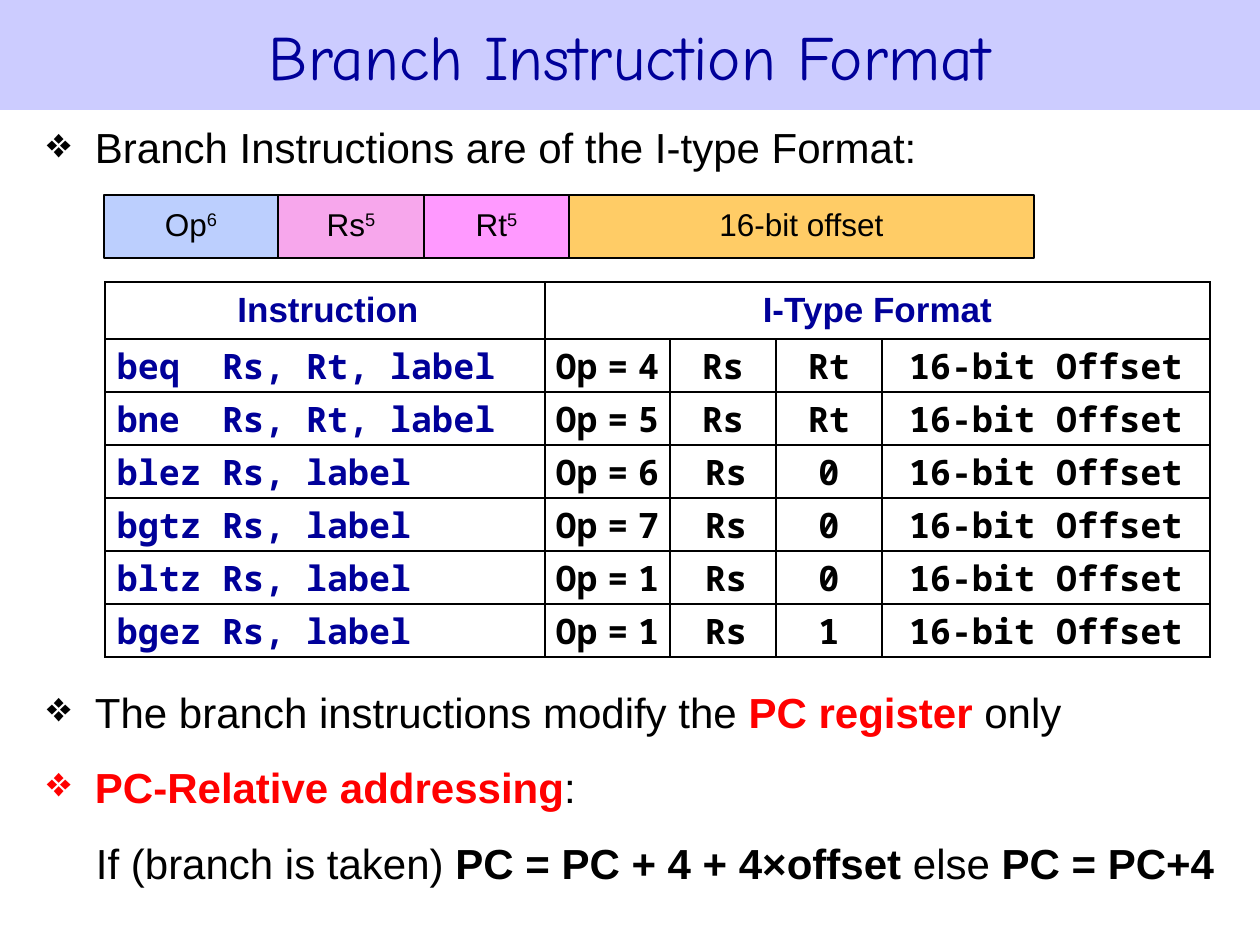
from lxml import etree
from pptx import Presentation
from pptx.dml.color import RGBColor
from pptx.enum.shapes import MSO_SHAPE
from pptx.enum.text import MSO_ANCHOR, PP_ALIGN
from pptx.oxml.ns import qn
from pptx.util import Emu, Inches, Pt

RECT = MSO_SHAPE.RECTANGLE
MIDDLE, TOP = MSO_ANCHOR.MIDDLE, MSO_ANCHOR.TOP
CENTER, LEFT = PP_ALIGN.CENTER, PP_ALIGN.LEFT
EMU_PER_PX = Inches(1) / 126
SANS, TITLE_FONT, MONO = "Arial", "Comic Neue", "Noto Sans Mono"
COLORS = {
    "black": "000000", "navy": "000099", "red": "FF0000", "lavender": "CCCCFF",
    "blue": "BCCFFE", "pink": "F7A7EC", "magenta": "FF99FF", "orange": "FFCC66",
}


def px(value):
    return Emu(round(value * EMU_PER_PX))


def color(name):
    return RGBColor.from_string(COLORS[name])


class SlideBuilder:
    """Holds the text style and the current slide."""

    style = {"name": SANS, "size": 24, "bold": False, "color": "black"}

    def __init__(self, slide):
        self.slide = slide

    def add_runs(self, paragraph, runs, **base):
        """Fill a paragraph with (text, style changes) runs."""
        for text, changes in runs:
            values = {**self.style, **base, **changes}
            run = paragraph.add_run()
            run.text = text
            run.font.color.rgb = color(values.pop("color"))
            values["size"] = Pt(values["size"])
            if values.pop("superscript", False):
                run._r.get_or_add_rPr().set("baseline", "30000")
            for key, value in values.items():
                setattr(run.font, key, value)

    def set_frame(self, frame, anchor, margins):
        frame.word_wrap = True
        frame.vertical_anchor = anchor
        for side, value in zip(("left", "top", "right", "bottom"), margins):
            setattr(frame, f"margin_{side}", px(value))

    def box(self, bounds, fill, runs, line=None, spacing=1.0, **base):
        shape = self.slide.shapes.add_shape(RECT, *map(px, bounds))
        shape.shadow.inherit = False
        shape.fill.solid()
        shape.fill.fore_color.rgb = color(fill)
        if line:
            shape.line.color.rgb = color(line)
            shape.line.width = Pt(1.5)
        else:
            shape.line.fill.background()
        self.set_frame(shape.text_frame, MIDDLE, (0, 12, 0, 12))
        paragraph = shape.text_frame.paragraphs[0]
        paragraph.alignment = CENTER
        paragraph.line_spacing = spacing
        self.add_runs(paragraph, runs, **base)

    def bullets(self, bounds, items, spacing=1.0):
        """Each item is (has bullet, runs)."""
        frame = self.slide.shapes.add_textbox(*map(px, bounds)).text_frame
        self.set_frame(frame, TOP, (12, 6, 12, 6))
        for index, (bulleted, runs) in enumerate(items):
            paragraph = frame.add_paragraph() if index else frame.paragraphs[0]
            paragraph.line_spacing = spacing
            properties = paragraph._p.get_or_add_pPr()
            properties.set("marL", str(px(48 if bulleted else 49)))
            properties.set("indent", str(px(-48 if bulleted else 0)))
            if bulleted:
                etree.SubElement(properties, qn("a:buChar")).set("char", "❖")
            self.add_runs(paragraph, runs)

    def table(self, left, top, widths, heights):
        bounds = map(px, (left, top, sum(widths), sum(heights)))
        table = self.slide.shapes.add_table(len(heights), len(widths), *bounds).table
        table.first_row = table.horz_banding = False
        for column, width in zip(table.columns, widths):
            column.width = px(width)
        for row, height in zip(table.rows, heights):
            row.height = px(height)
        for cell in table.iter_cells():
            self.border(cell)
            cell.fill.background()
        return table

    def border(self, cell):
        properties = cell._tc.get_or_add_tcPr()
        for side in ("lnL", "lnR", "lnT", "lnB"):
            line = etree.SubElement(properties, qn(f"a:{side}"), w=str(Pt(1)))
            fill = etree.SubElement(line, qn("a:solidFill"))
            etree.SubElement(fill, qn("a:srgbClr"), val=COLORS["black"])

    def cell(self, cell, runs, align=CENTER, margins=(2, 2, 2, 2), **base):
        cell.vertical_anchor = MIDDLE
        for side, value in zip(("left", "top", "right", "bottom"), margins):
            setattr(cell, f"margin_{side}", px(value))
        paragraph = cell.text_frame.paragraphs[0]
        paragraph.alignment = align
        self.add_runs(paragraph, runs, size=20, bold=True, **base)


presentation = Presentation()
presentation.slide_width, presentation.slide_height = Inches(10), Inches(7.5)
builder = SlideBuilder(presentation.slides.add_slide(presentation.slide_layouts[6]))

# Title band
builder.box((0, 0, 1260, 110), "lavender", [("Branch Instruction Format", {})],
            name=TITLE_FONT, size=36, color="navy")

# Closing points
RED_BOLD, BOLD = {"color": "red", "bold": True}, {"bold": True}
builder.bullets((35, 655, 1198, 246), [
    (True, [("The branch instructions modify the ", {}), ("PC register", RED_BOLD),
            (" only", {})]),
    (True, [("PC-Relative addressing", RED_BOLD), (":", {})]),
    (False, [("If (branch is taken) ", {}), ("PC = PC + 4 + 4×offset", BOLD),
             (" else ", {}), ("PC = PC+4", BOLD)]),
], spacing=1.5)

# Opening point
builder.bullets((35, 116, 1198, 87), [
    (True, [("Branch Instructions are of the I-type Format:", {})]),
])

# Instruction word fields
FIELDS = [("Op", "6", 174, "blue"), ("Rs", "5", 146, "pink"),
          ("Rt", "5", 145, "magenta"), ("16-bit offset", "", 465, "orange")]
field_left = 104
for field, bits, width, fill in FIELDS:
    runs = [(field, {})] + ([(bits, {"superscript": True})] if bits else [])
    builder.box((field_left, 195, width, 63), fill, runs,
                line="black", spacing=0.85, size=18)
    field_left += width

# Branch instruction table
BRANCHES = [
    ("beq  Rs, Rt, label", "4", "Rt"),
    ("bne  Rs, Rt, label", "5", "Rt"),
    ("blez Rs, label", "6", "0"),
    ("bgtz Rs, label", "7", "0"),
    ("bltz Rs, label", "1", "0"),
    ("bgez Rs, label", "1", "1"),
]
encoding = builder.table(105, 282, (440, 125, 106, 106, 328),
                         [57] + [53] * len(BRANCHES))
encoding.cell(0, 1).merge(encoding.cell(0, 4))
builder.cell(encoding.cell(0, 0), [("Instruction", {})],
             margins=(8, 2, 2, 2), color="navy")
builder.cell(encoding.cell(0, 1), [("I-Type Format", {})], color="navy")

NARROW_SPACE = (" ", {"name": SANS})
for row, (instruction, opcode, second) in enumerate(BRANCHES, 1):
    builder.cell(encoding.cell(row, 0), [(instruction, {})], align=LEFT,
                 margins=(12, 1, 12, 1), name=MONO, color="navy")
    builder.cell(encoding.cell(row, 1),
                 [("Op", {}), NARROW_SPACE, ("=", {}), NARROW_SPACE, (opcode, {})],
                 margins=(8, 0, 8, 0), name=MONO)
    rs_margins = (2 if second == "Rt" else 8, 2, 2, 2)
    builder.cell(encoding.cell(row, 2), [("Rs", {})], margins=rs_margins, name=MONO)
    for column, text in ((3, second), (4, "16-bit Offset")):
        builder.cell(encoding.cell(row, column), [(text, {})], name=MONO)

presentation.save("out.pptx")
